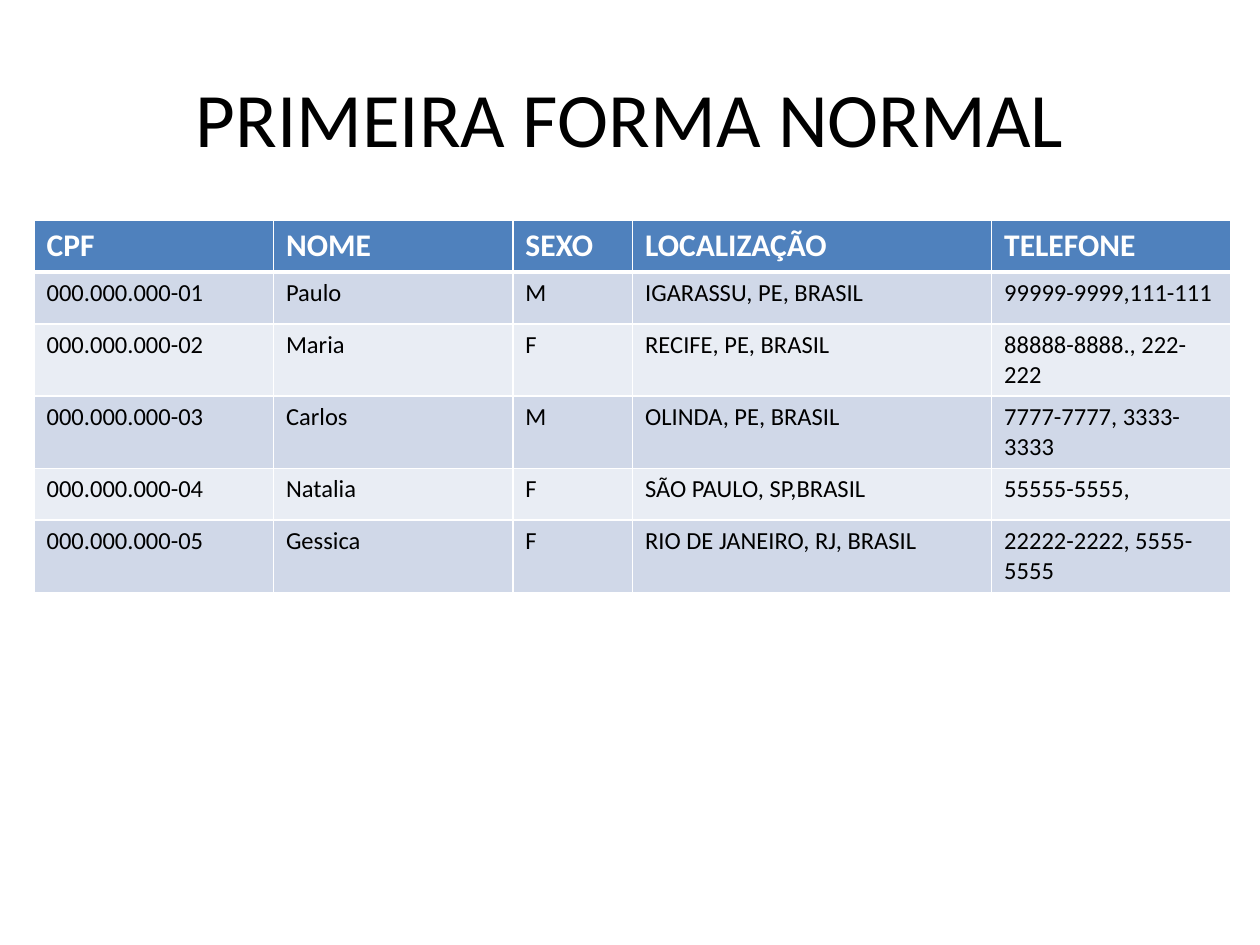
from lxml import etree
from pptx import Presentation
from pptx import util as u
from pptx.dml.color import RGBColor
from pptx.enum import text
from pptx.oxml import ns

# Content
HEADING = "PRIMEIRA FORMA NORMAL"
COLUMNS = [("CPF", 1.9), ("NOME", 1.9), ("SEXO", 0.95),
           ("LOCALIZAÇÃO", 2.85), ("TELEFONE", 1.9)]
PEOPLE = [
    ("000.000.000-01", "Paulo", "M", "IGARASSU, PE, BRASIL", "99999-9999,111-111"),
    ("000.000.000-02", "Maria", "F", "RECIFE, PE, BRASIL", "88888-8888., 222-222"),
    ("000.000.000-03", "Carlos", "M", "OLINDA, PE, BRASIL", "7777-7777, 3333-3333"),
    ("000.000.000-04", "Natalia", "F", "SÃO PAULO, SP,BRASIL", "55555-5555, "),
    ("000.000.000-05", "Gessica", "F", "RIO DE JANEIRO, RJ, BRASIL", "22222-2222, 5555- 5555"),
]
ROW_HEIGHT = 0.41


class Theme:
    font = "Calibri"
    ink, white, header = "000000", "FFFFFF", "4F81BD"
    bands = ("D0D8E8", "E9EDF4")
    title_size, header_size, body_size = 44, 18, 14
    rule, header_rule = 1, 3


def write(frame, wording, size, color=Theme.ink, bold=False,
          align=text.PP_ALIGN.LEFT):
    paragraph = frame.paragraphs[0]
    paragraph.alignment = align
    run = paragraph.add_run()
    run.text = wording
    run.font.name = Theme.font
    run.font.size = u.Pt(size)
    run.font.bold = bold
    run.font.color.rgb = RGBColor.from_string(color)


def set_borders(cell, top, bottom):
    """Draw white cell borders; the lines must precede the fill in the XML."""
    properties = cell._tc.get_or_add_tcPr()
    widths = {"lnL": Theme.rule, "lnR": Theme.rule, "lnT": top, "lnB": bottom}
    for position, (side, width) in enumerate(widths.items()):
        line = etree.Element(ns.qn(f"a:{side}"), w=str(u.Pt(width)))
        solid = etree.SubElement(line, ns.qn("a:solidFill"))
        etree.SubElement(solid, ns.qn("a:srgbClr"), val=Theme.white)
        properties.insert(position, line)


presentation = Presentation()
presentation.slide_width, presentation.slide_height = u.Inches(10), u.Inches(7.5)
slide = presentation.slides.add_slide(presentation.slide_layouts[5])

# Title
heading = slide.shapes.title
heading.left, heading.top = u.Inches(0.5), u.Inches(0.3)
heading.width, heading.height = u.Inches(9), u.Inches(1.25)
heading.text_frame.vertical_anchor = text.MSO_ANCHOR.MIDDLE
write(heading.text_frame, HEADING, Theme.title_size, align=text.PP_ALIGN.CENTER)

# Table of people
names, widths = zip(*COLUMNS)
rows = [names, *PEOPLE]
people_table = slide.shapes.add_table(
    len(rows), len(names), u.Inches(0.27), u.Inches(1.75),
    u.Inches(sum(widths)), u.Inches(ROW_HEIGHT * len(rows))).table
for column, width in zip(people_table.columns, widths):
    column.width = u.Inches(width)

for row_index, row in enumerate(rows):
    people_table.rows[row_index].height = u.Inches(ROW_HEIGHT)
    is_header = row_index == 0
    fill = Theme.header if is_header else Theme.bands[(row_index - 1) % 2]
    for column_index, wording in enumerate(row):
        cell = people_table.cell(row_index, column_index)
        cell.fill.solid()
        cell.fill.fore_color.rgb = RGBColor.from_string(fill)
        set_borders(cell,
                    top=Theme.header_rule if row_index == 1 else Theme.rule,
                    bottom=Theme.header_rule if is_header else Theme.rule)
        write(cell.text_frame, wording,
              Theme.header_size if is_header else Theme.body_size,
              color=Theme.white if is_header else Theme.ink, bold=is_header)

presentation.save("out.pptx")
